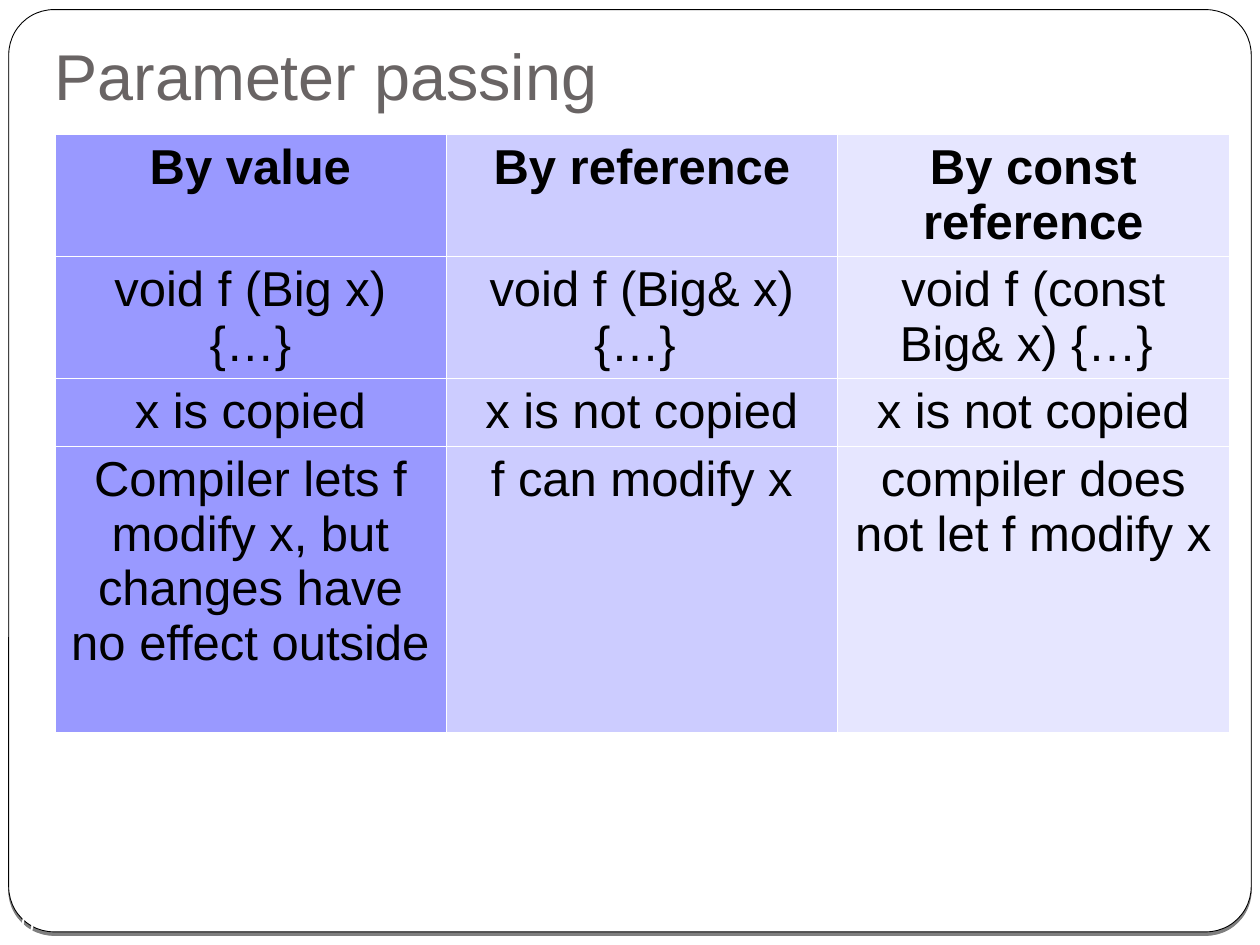
from lxml import etree
from pptx import Presentation
from pptx.dml.color import RGBColor
from pptx.enum.shapes import MSO_SHAPE
from pptx.enum.text import MSO_ANCHOR, MSO_AUTO_SIZE, PP_ALIGN
from pptx.oxml import parse_xml
from pptx.oxml.ns import nsdecls, qn
from pptx.util import Pt

LEFT, CENTER = PP_ALIGN.LEFT, PP_ALIGN.CENTER
TOP, MIDDLE, BOTTOM = MSO_ANCHOR.TOP, MSO_ANCHOR.MIDDLE, MSO_ANCHOR.BOTTOM
ROUNDED = MSO_SHAPE.ROUNDED_RECTANGLE
NO_FIT = MSO_AUTO_SIZE.NONE

FONT = "Arial"
WHITE = RGBColor(0xFF, 0xFF, 0xFF)
BLACK = RGBColor(0x00, 0x00, 0x00)
GRAY = RGBColor(0x69, 0x64, 0x64)
COLUMN_FILLS = [
    RGBColor(0x99, 0x99, 0xFF),
    RGBColor(0xCC, 0xCC, 0xFF),
    RGBColor(0xE6, 0xE6, 0xFF),
]

ROWS = [
    ["By value", "By reference", "By const reference"],
    ["void f (Big x) {…}", "void f (Big& x) {…} ", "void f (const Big& x) {…} "],
    ["x is copied", "x is not copied", "x is not copied"],
    ["Compiler lets f modify x, but changes have no effect outside",
     "f can modify x", "compiler does not let f modify x"],
]
ROW_HEIGHTS = [69.8, 69.8, 38.8, 163.4]
COLUMN_WIDTH = 223.7
BORDER_WIDTH = 0.06


def write(frame, text, size, color, align=CENTER, bold=False, spacing=None):
    """Put one formatted paragraph into a text frame."""
    para = frame.paragraphs[0]
    para.alignment = align
    if spacing:
        para.line_spacing = spacing
    span = para.add_run()
    span.text = text
    font = span.font
    font.name, font.size, font.bold = FONT, Pt(size), bold
    font.color.rgb = color


def set_frame(frame, anchor, margins):
    """Set wrapping, anchor and margins (left, top, right, bottom)."""
    frame.word_wrap = True
    frame.auto_size = NO_FIT
    frame.vertical_anchor = anchor
    (frame.margin_left, frame.margin_top,
     frame.margin_right, frame.margin_bottom) = map(Pt, margins)


def add_panel(page):
    """Rounded white panel with a soft-coloured drop shadow, behind the title."""
    panel = page.shapes.add_shape(ROUNDED, Pt(5), Pt(5.5), Pt(710), Pt(527))
    panel.adjustments[0] = 0.049
    panel.fill.solid()
    panel.fill.fore_color.rgb = WHITE
    panel.line.color.rgb = BLACK
    panel.line.width = Pt(0.5)
    panel._element.spPr.append(parse_xml(
        f'<a:effectLst {nsdecls("a")}>'
        f'<a:outerShdw blurRad="0" dist="{Pt(2)}" dir="5400000" rotWithShape="0">'
        '<a:srgbClr val="000000"><a:alpha val="50000"/></a:srgbClr>'
        '</a:outerShdw></a:effectLst>'))
    page.shapes._spTree.insert(2, panel._element)


def add_title(page, text):
    title = page.shapes.title
    title.left, title.top, title.width, title.height = map(Pt, (24, 21.6, 672, 50.4))
    set_frame(title.text_frame, BOTTOM, (7.2, 3.6, 7.2, 7.2))
    write(title.text_frame, text, 37, GRAY, align=LEFT, spacing=0.8)


def add_page_number(page, number):
    box = page.shapes.add_textbox(Pt(0), Pt(516), Pt(24), Pt(24))
    set_frame(box.text_frame, MIDDLE, (0, 0, 0, 0))
    write(box.text_frame, number, 14, WHITE)


def set_borders(cell):
    """Thin white line on every side; lines come before the fill."""
    properties = cell._tc.get_or_add_tcPr()
    for index, side in enumerate(("lnL", "lnR", "lnT", "lnB")):
        line = etree.Element(qn(f"a:{side}"), w=str(Pt(BORDER_WIDTH)))
        fill = etree.SubElement(line, qn("a:solidFill"))
        etree.SubElement(fill, qn("a:srgbClr"), val=str(WHITE))
        properties.insert(index, line)


def add_comparison(page):
    columns = len(COLUMN_FILLS)
    table = page.shapes.add_table(
        len(ROWS), columns, Pt(31.2), Pt(76.5),
        Pt(COLUMN_WIDTH * columns), Pt(sum(ROW_HEIGHTS))).table
    table.first_row = table.horz_banding = False
    for column in table.columns:
        column.width = Pt(COLUMN_WIDTH)
    for row_index, texts in enumerate(ROWS):
        table.rows[row_index].height = Pt(ROW_HEIGHTS[row_index])
        for column_index, text in enumerate(texts):
            cell = table.cell(row_index, column_index)
            cell.vertical_anchor = TOP
            cell.fill.solid()
            cell.fill.fore_color.rgb = COLUMN_FILLS[column_index]
            set_borders(cell)
            write(cell.text_frame, text, 28, BLACK, bold=row_index == 0)


def main():
    deck = Presentation()
    deck.slide_width, deck.slide_height = Pt(720), Pt(540)
    page = deck.slides.add_slide(deck.slide_layouts[5])

    # Backdrop
    page.background.fill.solid()
    page.background.fill.fore_color.rgb = WHITE
    add_panel(page)

    # Content
    add_title(page, "Parameter passing")
    add_page_number(page, "10")
    add_comparison(page)

    deck.save("out.pptx")


if __name__ == "__main__":
    main()
